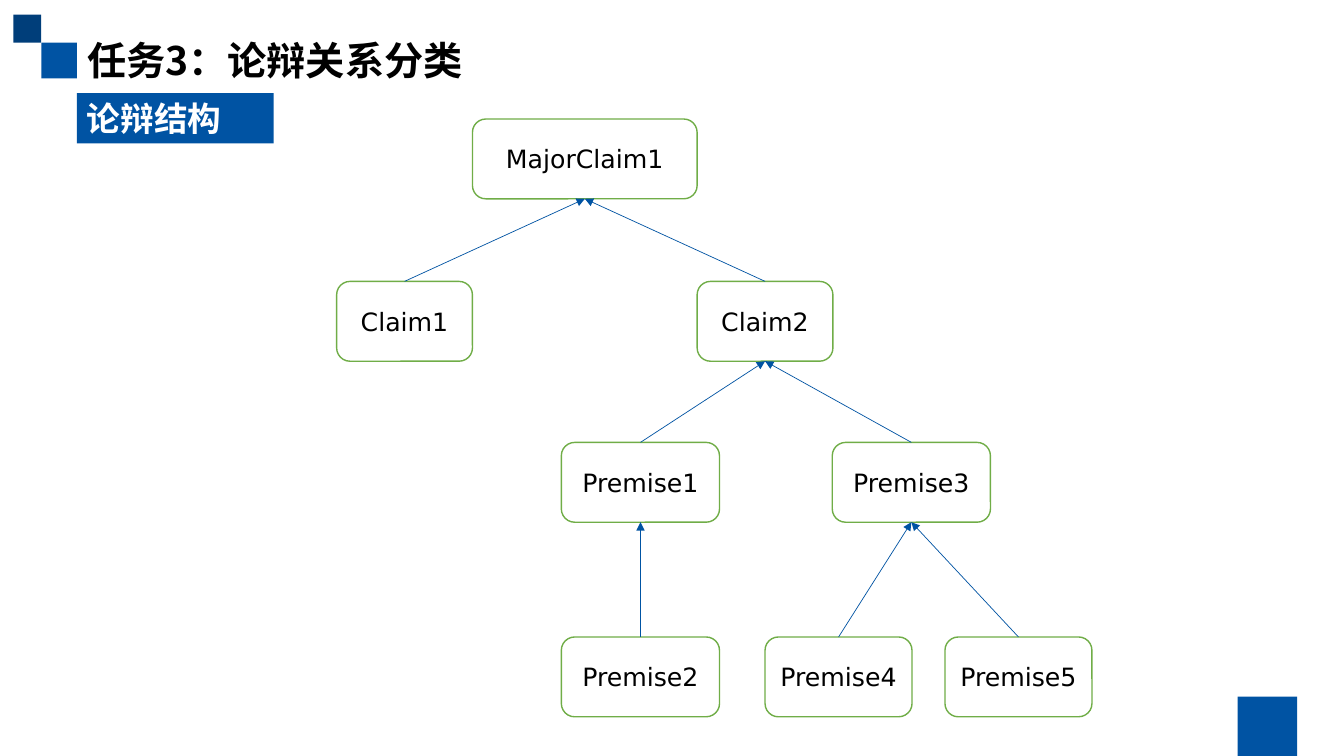
import pptx
import pptx.dml.color
import pptx.enum.shapes
import pptx.enum.text
import pptx.oxml.ns
import pptx.util
from lxml import etree

Pt = pptx.util.Pt
SHAPES = pptx.enum.shapes.MSO_SHAPE
ALIGN = pptx.enum.text.PP_ALIGN
BLUE, NAVY, GREEN, WHITE, BLACK = "0053A3", "003E7A", "70AD47", "FFFFFF", "000000"
LATIN_FONT, CHINESE_FONT = "DejaVu Sans", "Noto Sans CJK SC"

ROW_TOPS = [85, 201, 316, 455]
NODE_HEIGHT = 57
# name, parent, row, left, width
NODES = [
    ("MajorClaim1", None, 0, 337.5, 160.5),
    ("Claim1", "MajorClaim1", 1, 240.5, 97),
    ("Claim2", "MajorClaim1", 1, 498, 97),
    ("Premise1", "Claim2", 2, 401, 113),
    ("Premise3", "Claim2", 2, 594.5, 113),
    ("Premise2", "Premise1", 3, 401, 113),
    ("Premise4", "Premise3", 3, 546.5, 105),
    ("Premise5", "Premise3", 3, 675, 105),
]


def color(value):
    return pptx.dml.color.RGBColor.from_string(value)


def add_box(slide, kind, box, fill, line=None):
    shape = slide.shapes.add_shape(kind, *[Pt(length) for length in box])
    shape.shadow.inherit = False
    shape.fill.solid()
    shape.fill.fore_color.rgb = color(fill)
    if line:
        shape.line.color.rgb = color(line)
        shape.line.width = Pt(1)
    else:
        shape.line.fill.background()
    return shape


def write_text(shape, runs, size, text_color, alignment, bold=False):
    """Write one middle-anchored paragraph from (text, Latin font) pairs."""
    frame = shape.text_frame
    frame.word_wrap = True
    frame.auto_size = pptx.enum.text.MSO_AUTO_SIZE.NONE
    frame.vertical_anchor = pptx.enum.text.MSO_ANCHOR.MIDDLE
    paragraph = frame.paragraphs[0]
    paragraph.alignment = alignment
    paragraph.font.size = Pt(size)
    paragraph.font.bold = bold
    paragraph.font.color.rgb = color(text_color)
    for text, font_name in runs:
        run = paragraph.add_run()
        run.text = text
        run.font.name = font_name
        east_asian = etree.SubElement(run._r.get_or_add_rPr(), pptx.oxml.ns.qn("a:ea"))
        east_asian.set("typeface", CHINESE_FONT)


def add_corner_squares(slide):
    for left, top, side, fill in [(29.5, 30.5, 25.5, BLUE), (9.5, 10.5, 20, NAVY), (884, 497.5, 42.5, BLUE)]:
        add_box(slide, SHAPES.RECTANGLE, (left, top, side, side), fill)


def add_heading(slide, left, top):
    title = slide.shapes.title
    title.left, title.top, title.width, title.height = Pt(left), Pt(top), Pt(425.5), Pt(41)
    write_text(title, [("任务3：", CHINESE_FONT), ("论辩关系分类", LATIN_FONT)], 28, BLACK, ALIGN.LEFT, True)
    banner = add_box(slide, SHAPES.RECTANGLE, (left, top + 44, 140.5, 36), BLUE)
    write_text(banner, [("论辩结构", LATIN_FONT)], 24, WHITE, ALIGN.LEFT, True)


def add_arrow(slide, child, parent):
    """Point an arrow from the top of the child to the bottom of the parent."""
    arrow = slide.shapes.add_connector(pptx.enum.shapes.MSO_CONNECTOR.STRAIGHT, 0, 0, 0, 0)
    arrow.begin_connect(child, 0)
    arrow.end_connect(parent, 2)
    arrow.line.color.rgb = color(BLUE)
    arrow.line.width = Pt(0.5)
    tail = etree.SubElement(arrow.line._get_or_add_ln(), pptx.oxml.ns.qn("a:tailEnd"))
    tail.set("type", "triangle")
    etree.SubElement(arrow._element.spPr, pptx.oxml.ns.qn("a:effectLst"))


def add_argument_tree(slide):
    nodes = {}
    for name, parent, row, left, width in NODES:
        box = (left, ROW_TOPS[row], width, NODE_HEIGHT)
        nodes[name] = add_box(slide, SHAPES.ROUNDED_RECTANGLE, box, WHITE, GREEN)
        write_text(nodes[name], [(name, LATIN_FONT)], 18, BLACK, ALIGN.CENTER)
        if parent:
            add_arrow(slide, nodes[name], nodes[parent])


def main():
    presentation = pptx.Presentation()
    presentation.slide_width, presentation.slide_height = Pt(960), Pt(540)
    slide = presentation.slides.add_slide(presentation.slide_layouts[5])
    add_corner_squares(slide)
    add_heading(slide, 55, 22.5)
    add_argument_tree(slide)
    presentation.save("out.pptx")


if __name__ == "__main__":
    main()
